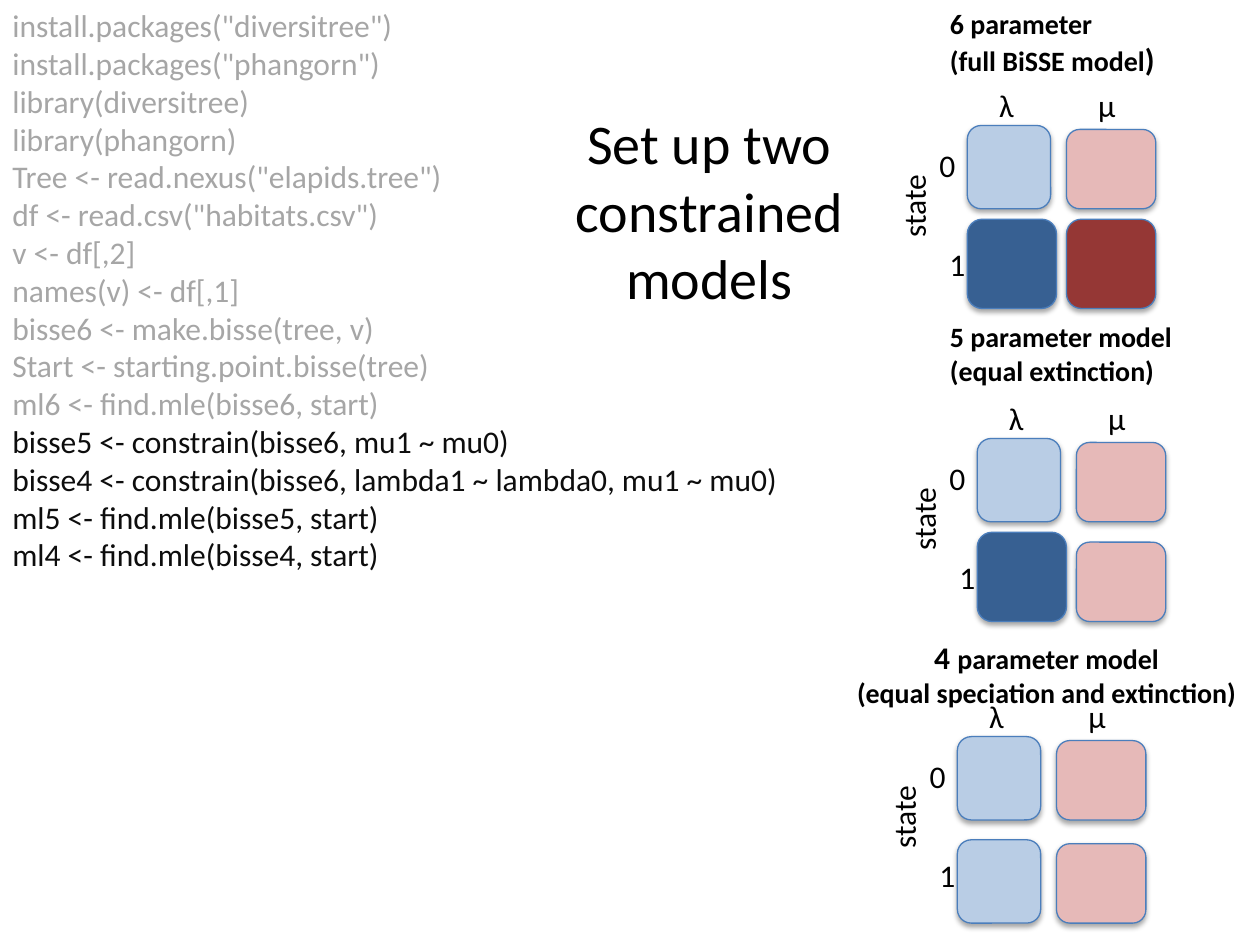
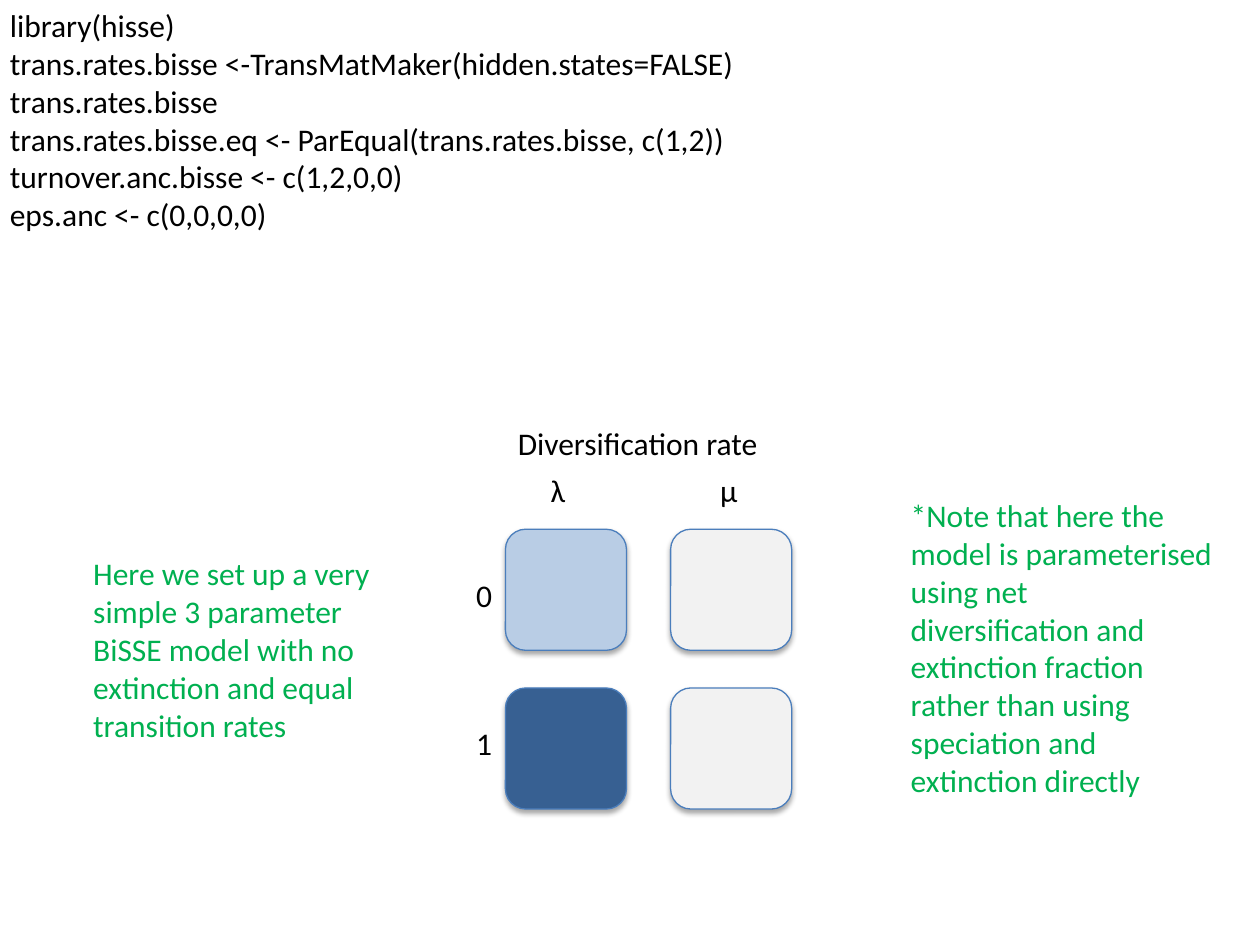
from dataclasses import dataclass
from lxml import etree
from pptx import Presentation
from pptx.dml.color import RGBColor
from pptx.enum.shapes import MSO_SHAPE
from pptx.enum.text import MSO_ANCHOR, MSO_AUTO_SIZE, PP_ALIGN
from pptx.oxml.ns import qn
from pptx.util import Cm, Pt


@dataclass(frozen=True)
class Theme:
    font: str = "Calibri"
    ink: str = "000000"
    code: str = "0D0D0D"
    code_done: str = "A6A6A6"
    note: str = "00B050"
    outline: str = "4B7EBC"
    light_blue: str = "B9CDE5"
    dark_blue: str = "376092"
    light_red: str = "E6B9B8"
    dark_red: str = "953735"
    grey: str = "F2F2F2"
    title_size: int = 32
    body_size: int = 18
    heading_size: int = 16
    line_width: float = 0.75


THEME = Theme()
TITLE_ONLY, BLANK = 5, 6


def write(tf, paragraphs, size=THEME.body_size, color=THEME.ink, bold=False, align=PP_ALIGN.LEFT):
    """Fill a text frame; a paragraph is a string or a list of (text, size) runs."""
    for i, runs in enumerate(paragraphs):
        p = tf.paragraphs[0] if i == 0 else tf.add_paragraph()
        p.alignment = align
        for text, run_size in [(runs, size)] if isinstance(runs, str) else runs:
            r = p.add_run()
            r.text = text
            r.font.name = THEME.font
            r.font.size = Pt(run_size)
            r.font.bold = bold
            r.font.color.rgb = RGBColor.from_string(color)


class Deck:
    def __init__(self, theme):
        self.theme = theme
        self.prs = Presentation()
        self.prs.slide_width, self.prs.slide_height = Cm(25.4), Cm(19.05)
        self.s = None

    def slide(self, layout):
        self.s = self.prs.slides.add_slide(self.prs.slide_layouts[layout])

    def title(self, text, x, y, w, h):
        sp = self.s.shapes.title
        sp.left, sp.top, sp.width, sp.height = Cm(x), Cm(y), Cm(w), Cm(h)
        sp.text_frame.vertical_anchor = MSO_ANCHOR.MIDDLE
        write(sp.text_frame, [text], size=self.theme.title_size, align=PP_ALIGN.CENTER)

    def text(self, paragraphs, x, y, w, h, wrap=True, grow=True, **fmt):
        sp = self.s.shapes.add_textbox(Cm(x), Cm(y), Cm(w), Cm(h))
        tf = sp.text_frame
        tf.word_wrap = wrap
        tf.auto_size = MSO_AUTO_SIZE.SHAPE_TO_FIT_TEXT if grow else MSO_AUTO_SIZE.NONE
        write(tf, paragraphs, **fmt)
        return sp

    def label(self, text, x, y, w=0.84, rotation=0):
        self.text([text], x, y, w, 1.02, wrap=False).rotation = rotation

    def heading(self, paragraphs, x, y, w, h, **fmt):
        self.text(paragraphs, x, y, w, h, size=self.theme.heading_size, bold=True, **fmt)

    def tile(self, fill, x, y, w, h):
        sp = self.s.shapes.add_shape(MSO_SHAPE.ROUNDED_RECTANGLE, Cm(x), Cm(y), Cm(w), Cm(h))
        sp.fill.solid()
        sp.fill.fore_color.rgb = RGBColor.from_string(fill)
        sp.line.color.rgb = RGBColor.from_string(self.theme.outline)
        sp.line.width = Pt(self.theme.line_width)
        # Soft shadow straight below the tile
        sp.shadow.inherit = False
        effects = sp._element.spPr.find(qn("a:effectLst"))
        shadow = etree.SubElement(effects, qn("a:outerShdw"), blurRad=str(Pt(3.1)),
                                  dist=str(Pt(1.8)), dir="5400000", rotWithShape="0")
        color = etree.SubElement(shadow, qn("a:srgbClr"), val=self.theme.ink)
        etree.SubElement(color, qn("a:alpha"), val="35000")

    def rate_grid(self, x, y, lambda1, mu1, bottom=3.7):
        """Small state by rate grid; the tiles of each row share a bottom edge."""
        t = self.theme
        sizes = {t.light_blue: (1.68, 1.68), t.light_red: (1.8, 1.6)}
        rows = [(1.69, t.light_blue, t.light_red), (bottom, lambda1, mu1)]
        for base, *fills in rows:
            for dx, fill in zip((0, 2), fills):
                w, h = sizes.get(fill, (1.8, 1.8))
                self.tile(fill, x + dx, y + base - h, w, h)
        for text, dx, dy in [("λ", 0.39, -0.91), ("μ", 2.39, -0.91),
                             ("0", -0.81, 0.3), ("1", -0.61, 2.29)]:
            self.label(text, x + dx, y + dy)
        self.label("state", x - 2, y + 1.09, w=1.83, rotation=270)


def constrained_models(d):
    t = d.theme
    d.slide(TITLE_ONLY)
    d.title("Set up two constrained models", 11.3, 1.93, 6, 4.6)

    # Code: earlier steps greyed, new steps dark
    done = ['install.packages("diversitree")', 'install.packages("phangorn")',
            "library(diversitree)", "library(phangorn)",
            'Tree <- read.nexus("elapids.tree")', 'df <- read.csv("habitats.csv")',
            "v <- df[,2]", "names(v) <- df[,1]", "bisse6 <- make.bisse(tree, v)",
            "Start <- starting.point.bisse(tree)", "ml6 <- find.mle(bisse6, start)"]
    new = ["bisse5 <- constrain(bisse6, mu1 ~ mu0)",
           "bisse4 <- constrain(bisse6, lambda1 ~ lambda0, mu1 ~ mu0)",
           "ml5 <- find.mle(bisse5, start)", "ml4 <- find.mle(bisse4, start)"]
    sp = d.text(done + new, 0, 0, 16.69, 12.57, color=t.code_done)
    for p in sp.text_frame.paragraphs[len(done):]:
        p.runs[0].font.color.rgb = RGBColor.from_string(t.code)

    # The three models
    d.heading(["6 parameter", [("(full BiSSE model", t.heading_size), (")", t.body_size)]],
              18.9, 0, 4.7, 1.7, wrap=False)
    d.rate_grid(19.5, 2.52, t.dark_blue, t.dark_red)
    d.heading(["5 parameter model", "(equal extinction)"], 18.9, 6.32, 5.08, 1.63, wrap=False)
    d.rate_grid(19.7, 8.83, t.dark_blue, t.light_red)
    d.heading([[("4 ", t.body_size), ("parameter model", t.heading_size)],
               "(equal speciation and extinction)"],
              16.1, 12.73, 10, 1.7, align=PP_ALIGN.CENTER)
    d.rate_grid(19.3, 14.84, t.light_blue, t.light_red, bottom=3.77)


def hidden_state_setup(d):
    t = d.theme
    d.slide(BLANK)
    d.text(["library(hisse)", "trans.rates.bisse <-TransMatMaker(hidden.states=FALSE)",
            "trans.rates.bisse", "trans.rates.bisse.eq <- ParEqual(trans.rates.bisse, c(1,2))",
            "turnover.anc.bisse <- c(1,2,0,0)", "eps.anc <- c(0,0,0,0)"],
           -0.05, 0, 20.9, 7.95, grow=False)

    # Diversification grid
    for row, fills in enumerate([(t.light_blue, t.grey), (t.dark_blue, t.grey)]):
        for col, fill in enumerate(fills):
            d.tile(fill, 10.19 + 3.33 * col, 10.67 + 3.2 * row, 2.44, 2.44)
    for text, x, y in [("λ", 10.85, 9.37), ("μ", 14.27, 9.37),
                       ("0", 9.35, 11.48), ("1", 9.35, 14.48)]:
        d.label(text, x, y)
    d.label("Diversification rate", 10.19, 8.43, w=5.44)

    # Notes
    d.text(["Here we set up a very simple 3 parameter BiSSE model with no extinction "
            "and equal transition rates"], 1.63, 11.05, 6.6, 4.11, color=t.note)
    d.text(["*Note that here the model is parameterised using net diversification and "
            "extinction fraction rather than using speciation and extinction directly"],
           18.11, 9.88, 6.6, 6.4, color=t.note)


def main():
    d = Deck(THEME)
    constrained_models(d)
    hidden_state_setup(d)
    d.prs.save("out.pptx")


if __name__ == "__main__":
    main()
